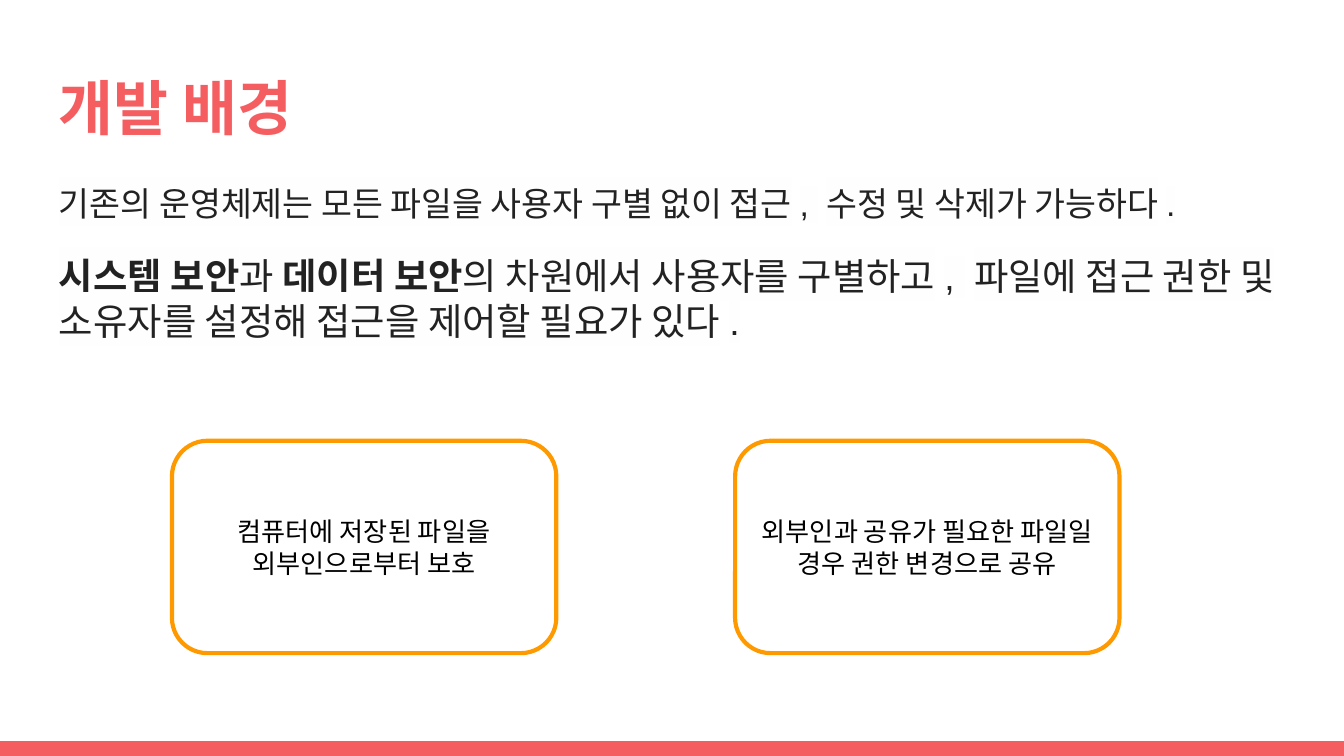
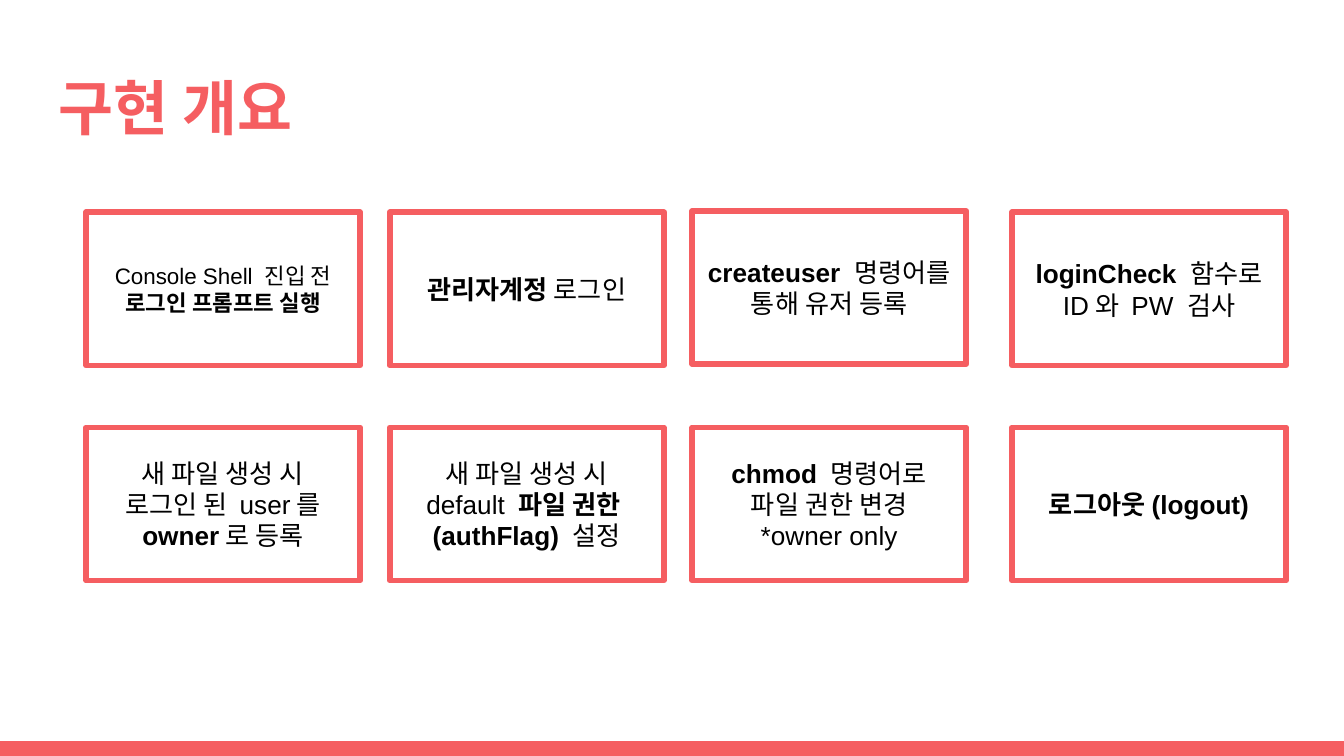
from dataclasses import dataclass

from lxml import etree
from pptx import Presentation
from pptx.dml.color import RGBColor
from pptx.enum.shapes import MSO_SHAPE
from pptx.enum.text import MSO_ANCHOR, PP_ALIGN
from pptx.oxml.ns import qn
from pptx.util import Inches, Pt

RECTANGLE = MSO_SHAPE.RECTANGLE
ROUNDED = MSO_SHAPE.FLOWCHART_ALTERNATE_PROCESS
TOP, MIDDLE = MSO_ANCHOR.TOP, MSO_ANCHOR.MIDDLE
LEFT, CENTER = PP_ALIGN.LEFT, PP_ALIGN.CENTER


@dataclass(frozen=True)
class Theme:
    coral: str = "F55E61"
    orange: str = "FF9900"
    ink: str = "222222"
    black: str = "000000"
    highlight: str = "FEFEFE"
    title_font: str = "Noto Sans CJK KR"
    body_font: str = "Arial"
    title_size: int = 32
    point_size: int = 20
    lead_size: int = 18
    card_size: int = 14
    small_size: int = 12


theme = Theme()

# Grid, in inches
WIDTH, HEIGHT = 10, 5.625
MARGIN, INSET = 0.34, 0.1
TEXT_WIDTH = WIDTH - 2 * MARGIN
BAND_HEIGHT = 0.11
GOAL_COLUMNS, GOAL_ROW, GOAL_SIZE = (1.28, 5.47), 3.28, (2.86, 1.58)
STEP_COLUMNS, STEP_ROWS, STEP_SIZE = (0.64, 2.9, 5.15, 7.53), (1.58, 3.18), (2.04, 1.14)


def add_box(page, place, kind=None, line=None, weight=0, fill=None):
    """Add a preset shape, or a plain text box when no kind is given."""
    place = [Inches(length) for length in place]
    if kind is None:
        return page.shapes.add_textbox(*place)
    box = page.shapes.add_shape(kind, *place)
    box.shadow.inherit = False
    if fill:
        box.fill.solid()
        box.fill.fore_color.rgb = RGBColor.from_string(fill)
    else:
        box.fill.background()
    if line:
        box.line.color.rgb = RGBColor.from_string(line)
        box.line.width = Pt(weight)
    else:
        box.line.fill.background()
    return box


def write(box, lines, sizes, color, font=theme.body_font, align=LEFT,
          anchor=TOP, gap=0, highlight=None):
    """Write one paragraph per line; ** switches bold on and off."""
    frame = box.text_frame
    frame.word_wrap = True
    frame.vertical_anchor = anchor
    frame.margin_left = frame.margin_right = Inches(INSET)
    frame.margin_top = frame.margin_bottom = Inches(INSET)
    for index, (line, size) in enumerate(zip(lines, sizes)):
        para = frame.add_paragraph() if index else frame.paragraphs[0]
        para.alignment = align
        para.space_before = Pt(gap if index else 0)
        para.font.name = font
        para.font.size = Pt(size)
        para.font.color.rgb = RGBColor.from_string(color)
        for part, words in enumerate(line.split("**")):
            if not words:
                continue
            span = para.add_run()
            span.text = words
            span.font.bold = part % 2 == 1
            if highlight:
                mark = etree.SubElement(span.font._element, qn("a:highlight"))
                etree.SubElement(mark, qn("a:srgbClr"), val=highlight)


deck = Presentation()
deck.slide_width, deck.slide_height = Inches(WIDTH), Inches(HEIGHT)
blank = deck.slide_layouts[6]

# Shared band and title
pages = []
for title in ("개발 배경", "구현 개요"):
    page = deck.slides.add_slide(blank)
    add_box(page, (0, HEIGHT - BAND_HEIGHT, WIDTH, BAND_HEIGHT), RECTANGLE, fill=theme.coral)
    write(add_box(page, (MARGIN, 0.43, TEXT_WIDTH, 0.68)), [f"**{title}**"],
          [theme.title_size], theme.coral, font=theme.title_font)
    pages.append(page)
background, overview = pages

# Background: the need for access control
write(
    add_box(background, (MARGIN, 1.26, TEXT_WIDTH, 3.74)),
    [
        "기존의 운영체제는 모든 파일을 사용자 구별 없이 접근, 수정 및 삭제가 가능하다.",
        "**시스템 보안**과 **데이터 보안**의 차원에서 사용자를 구별하고, "
        "파일에 접근 권한 및 소유자를 설정해 접근을 제어할 필요가 있다.",
    ],
    [theme.lead_size, theme.point_size], theme.ink, gap=16, highlight=theme.highlight,
)

# Background: the two goals
goals = (
    "컴퓨터에 저장된 파일을 외부인으로부터 보호",
    "외부인과 공유가 필요한 파일일 경우 권한 변경으로 공유",
)
for left, goal in zip(GOAL_COLUMNS, goals):
    box = add_box(background, (left, GOAL_ROW, *GOAL_SIZE), ROUNDED, theme.orange, 2.25)
    write(box, [goal], [theme.card_size], theme.black, align=CENTER, anchor=MIDDLE)

# Overview: the steps, row by row
steps = (
    (
        ["Console Shell 진입 전", "**로그인 프롬프트 실행**"],
        ["**관리자계정** 로그인"],
        ["**createuser** 명령어를", "통해 유저 등록"],
        ["**loginCheck **함수로", "ID와 PW 검사"],
    ),
    (
        ["새 파일 생성 시", "로그인 된 user를 **owner**로 등록"],
        ["새 파일 생성 시", "default **파일 권한(authFlag) **설정"],
        ["**chmod** 명령어로", "파일 권한 변경", "*owner only"],
        ["**로그아웃(logout)**"],
    ),
)
for row, (top, cards) in enumerate(zip(STEP_ROWS, steps)):
    for column, (left, lines) in enumerate(zip(STEP_COLUMNS, cards)):
        size = theme.small_size if row == column == 0 else theme.card_size
        nudge = 0.01 if (row, column) == (0, 2) else 0
        box = add_box(overview, (left, top - nudge, *STEP_SIZE), RECTANGLE, theme.coral, 3)
        write(box, lines, [size] * len(lines), theme.black, align=CENTER, anchor=MIDDLE)

deck.save("out.pptx")
